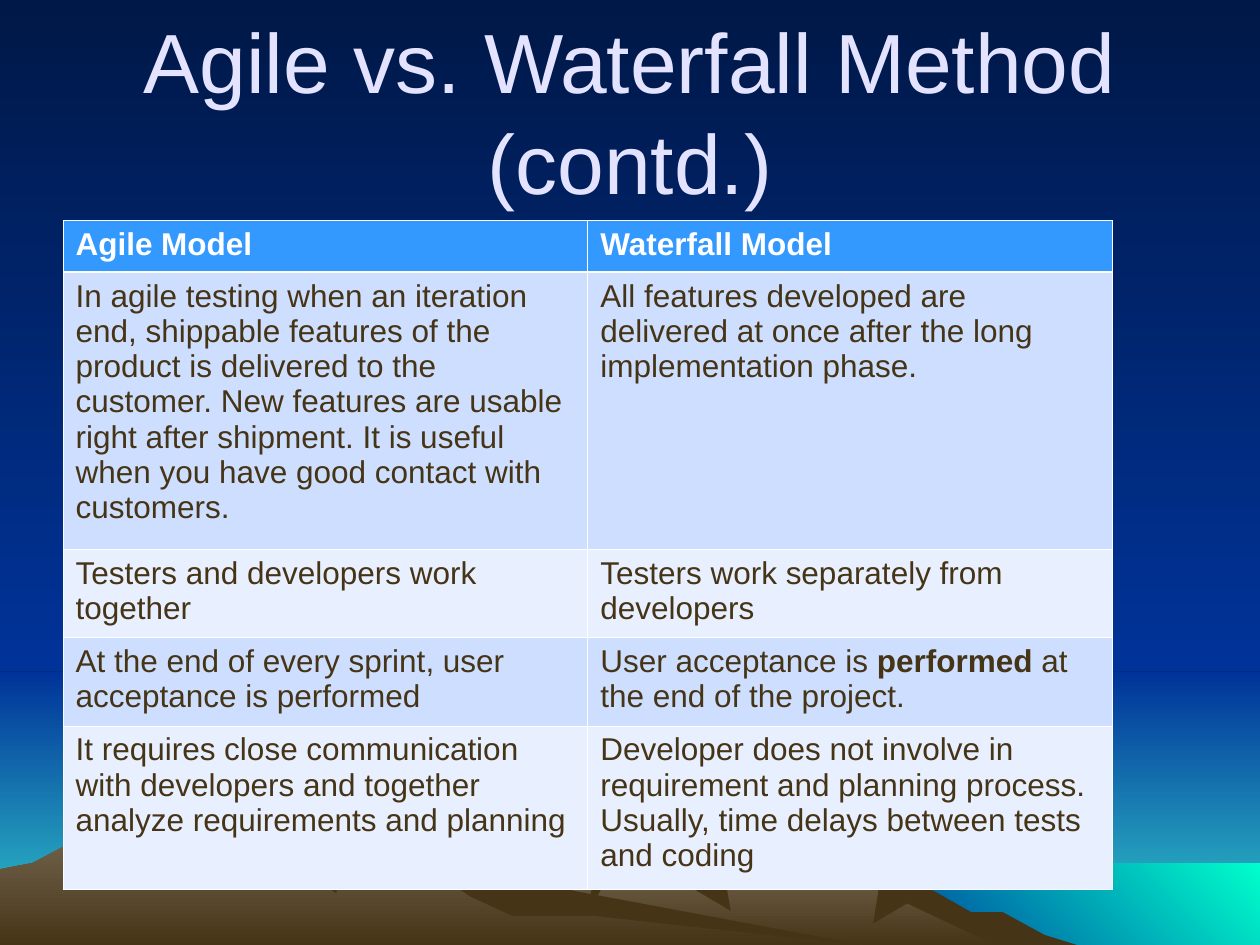
from lxml.etree import SubElement
from pptx import Presentation
from pptx.dml.color import RGBColor
from pptx.enum.shapes import MSO_SHAPE
from pptx.enum.text import MSO_ANCHOR, PP_ALIGN
from pptx.oxml.ns import qn
from pptx.util import Pt

PX = 9144  # EMU per px, 100 px to the inch
PAGE = (1000, 750)

THEME = {
    "font": "Arial", "title_size": 48, "table_size": 18,
    "title": "E3E3FF", "header_text": "FFFFFF", "text": "463416",
    "header": "3399FF", "bands": ("CDDEFF", "E8EFFF"),
    "border": "FFFFFF", "thin": 0.45, "thick": 1.47,
    "sky": ("001847", "003399", 270), "horizon": ("003399", "33CCCC", 270),
    "sea": ("003399", "00FFCC", 45), "far_ridge": ("847864", "463416", 270),
    "near_ridge": ("73654F", "463416", 270), "shade": "463416",
}

# Content: each cell is a list of (text, bold) spans
TITLE = "Agile vs. Waterfall Method (contd.)"
TITLE_BOX = (50, 25, 900, 125)
ROWS = [
    ([("Agile Model", True)], [("Waterfall Model", True)]),
    ([("In agile testing when an iteration end, shippable features of the product is "
       "delivered to the customer. New features are usable right after shipment. "
       "It is useful when you have good contact with customers.", False)],
     [("All features developed are delivered at once after the long implementation phase.", False)]),
    ([("Testers and developers work together", False)],
     [("Testers work separately from developers", False)]),
    ([("At the end of every sprint, user acceptance is performed", False)],
     [("User acceptance is ", False), ("performed", True), (" at the end of the project.", False)]),
    ([("It requires close communication with developers and together analyze "
       "requirements and planning", False)],
     [("Developer does not involve in requirement and planning process. "
       "Usually, time delays between tests and coding", False)]),
]
TABLE_LEFT, TABLE_TOP, TABLE_WIDTH = 50, 175, 833
ROW_HEIGHTS = [41, 220, 70, 70, 130]

# Landscape from back to front: top edges of flat areas, then hill outlines
HORIZON, SHORE_LEFT, SHORE_TOP = 533, 683, 685
AREAS = [
    ("horizon", 0, HORIZON, PAGE[1]),
    ("sky", 0, 0, HORIZON),
    ("sea", SHORE_LEFT, SHORE_TOP, PAGE[1]),
]
HILLS = [
    ("far_ridge", [(258, 751), (327, 709), (465, 658), (566, 697), (685, 660),
                   (723, 698), (764, 723), (821, 751)]),
    ("shade", [(685, 660), (734, 703), (771, 724), (796, 724), (829, 742), (858, 751),
               (792, 751), (720, 717), (693, 733), (698, 702)]),
    ("shade", [(471, 658), (497, 671), (465, 727), (473, 690)]),
    ("shade", [(529, 676), (592, 689), (576, 700), (580, 723), (536, 697)]),
    ("near_ridge", [(0, 751), (0, 690), (26, 685), (56, 669), (212, 658), (354, 665),
                    (432, 712), (690, 751)]),
    ("shade", [(208, 669), (271, 682), (267, 709)]),
    ("shade", [(337, 687), (354, 665), (455, 707), (690, 751), (472, 727), (407, 727),
               (374, 712)]),
]


def color(value):
    return RGBColor.from_string(value)


def paint(fill, value):
    """A string gives a solid fill, a (start, end, angle) tuple a gradient."""
    if isinstance(value, str):
        fill.solid()
        fill.fore_color.rgb = color(value)
        return
    *stops, angle = value
    fill.gradient()
    fill.gradient_angle = angle
    for stop, shade in zip(fill.gradient_stops, stops):
        stop.color.rgb = color(shade)


def add_span(para, text, **formats):
    span = para.add_run()
    span.text = text
    span.font.color.rgb = color(formats.pop("color"))
    for name, value in {"name": THEME["font"], **formats}.items():
        setattr(span.font, name, value)


def finish(shape, fill_name):
    shape.shadow.inherit = False
    paint(shape.fill, THEME[fill_name])
    shape.line.fill.background()


def add_landscape(page):
    for fill_name, left, top, bottom in AREAS:
        sides = (left, top, PAGE[0] - left, bottom - top)
        area = page.shapes.add_shape(MSO_SHAPE.RECTANGLE, *(PX * side for side in sides))
        finish(area, fill_name)
    for fill_name, points in HILLS:
        builder = page.shapes.build_freeform(*points[0], scale=PX)
        builder.add_line_segments(points[1:], close=True)
        finish(builder.convert_to_shape(), fill_name)


def add_borders(cell, widths):
    properties = cell._tc.get_or_add_tcPr()
    for side, width in widths.items():
        line = SubElement(properties, qn(f"a:ln{side}"), w=str(int(Pt(width))))
        fill = SubElement(line, qn("a:solidFill"))
        SubElement(fill, qn("a:srgbClr"), val=THEME["border"])


def add_title(page):
    box = page.shapes.add_textbox(*(PX * length for length in TITLE_BOX))
    frame = box.text_frame
    for name, value in {"word_wrap": True, "vertical_anchor": MSO_ANCHOR.MIDDLE}.items():
        setattr(frame, name, value)
    para = frame.paragraphs[0]
    para.alignment = PP_ALIGN.CENTER
    add_span(para, TITLE, size=Pt(THEME["title_size"]), color=THEME["title"])


def add_comparison(page):
    table = page.shapes.add_table(
        len(ROWS), len(ROWS[0]), PX * TABLE_LEFT, PX * TABLE_TOP,
        PX * TABLE_WIDTH, PX * sum(ROW_HEIGHTS)).table
    table.horz_banding = False
    thin, thick = THEME["thin"], THEME["thick"]
    for index, (cells, height) in enumerate(zip(ROWS, ROW_HEIGHTS)):
        table.rows[index].height = PX * height
        header = index == 0
        background = THEME["header"] if header else THEME["bands"][(index - 1) % 2]
        text_color = THEME["header_text" if header else "text"]
        widths = {"L": thin, "R": thin, "T": thick if index == 1 else thin,
                  "B": thick if header else thin}
        for column, spans in enumerate(cells):
            cell = table.cell(index, column)
            add_borders(cell, widths)
            paint(cell.fill, background)
            for text, bold in spans:
                add_span(cell.text_frame.paragraphs[0], text, bold=bold,
                         size=Pt(THEME["table_size"]), color=text_color)


def main():
    deck = Presentation()
    deck.slide_width, deck.slide_height = (PX * length for length in PAGE)
    page = deck.slides.add_slide(deck.slide_layouts[6])
    paint(page.background.fill, THEME["sky"])
    add_landscape(page)
    add_title(page)
    add_comparison(page)
    deck.save("out.pptx")


if __name__ == "__main__":
    main()
